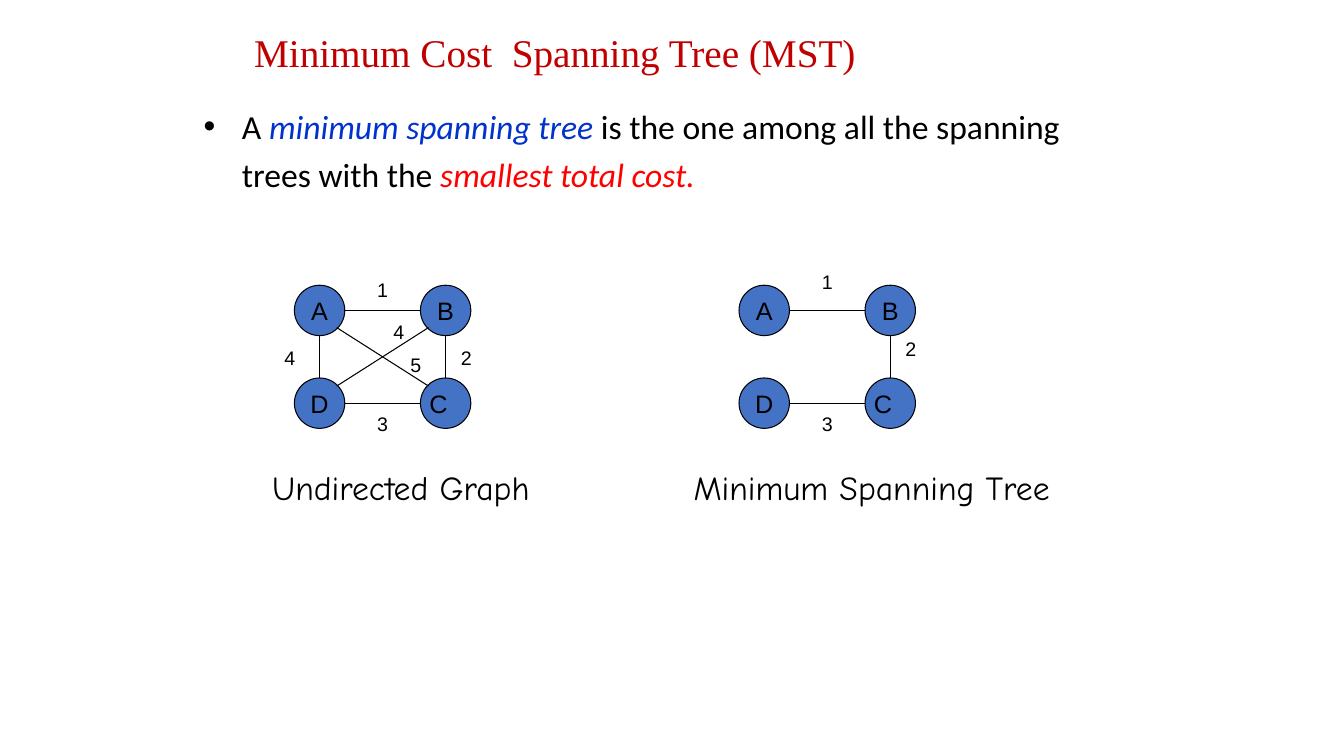
import pptx
import pptx.util
import pptx.dml.color
import pptx.enum.shapes
import pptx.enum.text
import pptx.oxml.ns
import lxml.etree

Inches = pptx.util.Inches
Pt = pptx.util.Pt
MSO_SHAPE = pptx.enum.shapes.MSO_SHAPE
ANCHOR = pptx.enum.text.MSO_ANCHOR
ALIGN = pptx.enum.text.PP_ALIGN
AUTO_SIZE = pptx.enum.text.MSO_AUTO_SIZE
qn = pptx.oxml.ns.qn
rgb = pptx.dml.color.RGBColor.from_string

COLORS = {
    "black": "000000", "white": "FFFFFF", "node": "4472C4",
    "title": "C00000", "term": "0033CC", "emphasis": "FF0000",
}


def add_run(paragraph, text, color="black", **font_format):
    run = paragraph.add_run()
    run.text = text
    run.font.color.rgb = rgb(COLORS[color])
    for attribute, value in font_format.items():
        setattr(run.font, attribute, value)


def add_marked_shape(kind, box, text, fill, line, size):
    shape = slide.shapes.add_shape(kind, *[Inches(length) for length in box])
    shape.shadow.inherit = False
    shape.fill.solid()
    shape.fill.fore_color.rgb = rgb(COLORS[fill])
    shape.line.color.rgb = rgb(COLORS[line])
    shape.line.width = Pt(0.75)
    frame = shape.text_frame
    frame.word_wrap = False
    frame.vertical_anchor = ANCHOR.MIDDLE
    frame.paragraphs[0].alignment = ALIGN.CENTER
    add_run(frame.paragraphs[0], text, size=Pt(size), name="Arial")
    return shape


# Slide
presentation = pptx.Presentation()
presentation.slide_width = Inches(13.33)
presentation.slide_height = Inches(7.5)
slide = presentation.slides.add_slide(presentation.slide_layouts[1])
slide.background.fill.solid()
slide.background.fill.fore_color.rgb = rgb(COLORS["white"])

# Title and body placeholders
title = slide.shapes.title
body = slide.placeholders[1]
placeholders = [
    (title, (2.42, 0.17, 8.5, 0.75), ANCHOR.MIDDLE, 0.9),
    (body, (1.92, 0.92, 9.42, 1.33), ANCHOR.TOP, 1.2),
]
for placeholder, box, anchor, line_spacing in placeholders:
    for attribute, length in zip(("left", "top", "width", "height"), box):
        setattr(placeholder, attribute, Inches(length))
    frame = placeholder.text_frame
    frame.word_wrap = True
    frame.auto_size = AUTO_SIZE.NONE
    frame.vertical_anchor = anchor
    paragraph = frame.paragraphs[0]
    paragraph.alignment = ALIGN.LEFT
    paragraph.line_spacing = line_spacing
    paragraph.space_before = Pt(0)

add_run(title.text_frame.paragraphs[0], "Minimum Cost  Spanning Tree (MST)",
        "title", size=Pt(28), name="Times New Roman")

definition = body.text_frame.paragraphs[0]
properties = definition._p.get_or_add_pPr()
properties.set("marL", str(Inches(0.38)))
properties.set("indent", str(-Inches(0.38)))
bullet_font = lxml.etree.SubElement(properties, qn("a:buFont"))
bullet_font.set("typeface", "Arial")
bullet = lxml.etree.SubElement(properties, qn("a:buChar"))
bullet.set("char", "•")
for text, color, italic in [
    ("A ", "black", False),
    ("minimum spanning tree", "term", True),
    (" is the one among all the spanning trees with the ", "black", False),
    ("smallest total cost.", "emphasis", True),
]:
    add_run(definition, text, color, size=Pt(24), name="Calibri", italic=italic)

# Graphs: node centres are offsets from the left of each graph
RADIUS = 0.25
DIAGONAL_REACH = 0.17
NODES = {"A": (0.25, 3.08), "D": (0.25, 4), "C": (1.5, 4), "B": (1.5, 3.08)}

# Each cost is text, offset from the graph's left, top, height
graphs = [
    {
        "left": 2.92,
        "edges": ["AD", "AB", "DC", "BC", "DB", "AC"],
        "costs": [("1", 0.75, 2.75, 0.25), ("2", 1.58, 3.42, 0.25),
                  ("3", 0.75, 4.08, 0.25), ("4", -0.17, 3.42, 0.25),
                  ("4", 0.91, 3.25, 0.08), ("5", 1.08, 3.58, 0.08)],
        "caption": ("Undirected Graph", 2.6, 3.15),
    },
    {
        "left": 7.33,
        "edges": ["AB", "DC", "BC"],
        "costs": [("1", 0.75, 2.67, 0.25), ("2", 1.58, 3.33, 0.25),
                  ("3", 0.75, 4.08, 0.25)],
        "caption": ("Minimum Spanning Tree", 6.78, 3.88),
    },
]

for graph in graphs:
    left = graph["left"]

    # Nodes
    for name, (x, y) in NODES.items():
        box = (left + x - RADIUS, y - RADIUS, 2 * RADIUS, 2 * RADIUS)
        node = add_marked_shape(MSO_SHAPE.OVAL, box, name, "node", "black", 18)
        if name == "C":
            node.text_frame.margin_right = Inches(0.24)

    # Edges run from rim to rim
    for start, end in graph["edges"]:
        (x1, y1), (x2, y2) = NODES[start], NODES[end]
        step_x = (x2 > x1) - (x2 < x1)
        step_y = (y2 > y1) - (y2 < y1)
        reach = DIAGONAL_REACH if step_x and step_y else RADIUS
        edge = slide.shapes.add_connector(
            pptx.enum.shapes.MSO_CONNECTOR.STRAIGHT,
            Inches(left + x1 + step_x * reach), Inches(y1 + step_y * reach),
            Inches(left + x2 - step_x * reach), Inches(y2 - step_y * reach))
        edge.line.color.rgb = rgb(COLORS["black"])
        edge.line.width = Pt(0.75)
        lxml.etree.SubElement(edge._element.spPr, qn("a:effectLst"))

    # Edge costs
    for cost, x, top, height in graph["costs"]:
        add_marked_shape(MSO_SHAPE.RECTANGLE, (left + x, top, 0.25, height),
                         cost, "white", "white", 14)

    # Caption
    text, caption_left, width = graph["caption"]
    caption = slide.shapes.add_textbox(
        Inches(caption_left), Inches(4.58), Inches(width), Inches(0.5))
    caption.text_frame.word_wrap = True
    caption.text_frame.auto_size = AUTO_SIZE.SHAPE_TO_FIT_TEXT
    add_run(caption.text_frame.paragraphs[0], text, size=Pt(24), name="Comic Neue")

presentation.save("out.pptx")
